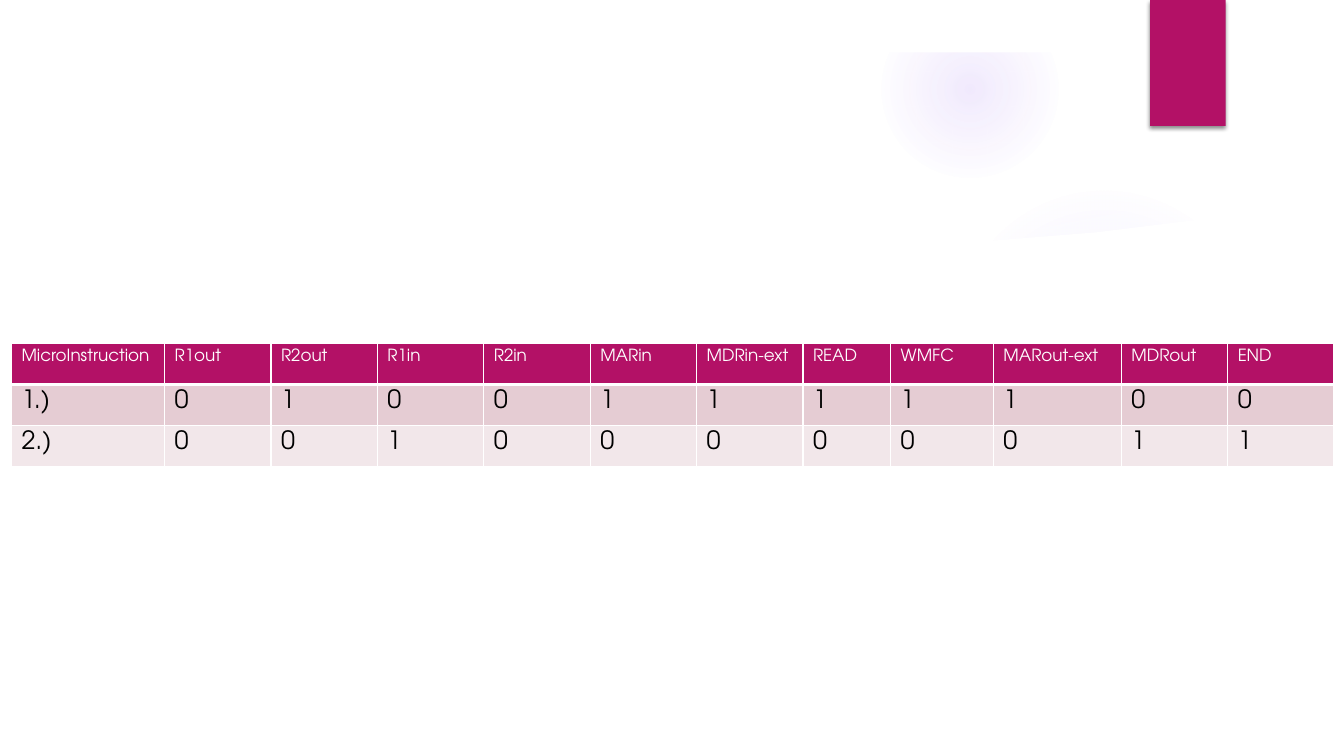
from lxml.etree import SubElement
from pptx import Presentation
from pptx.dml.color import RGBColor
from pptx.enum.shapes import MSO_SHAPE
from pptx.oxml import parse_xml
from pptx.oxml.ns import nsdecls, qn
from pptx.util import Pt

WHITE = RGBColor(0xFF, 0xFF, 0xFF)
BLACK = RGBColor(0x00, 0x00, 0x00)
MAGENTA = RGBColor(0xB3, 0x11, 0x66)
VIOLET = RGBColor(0x9B, 0x6B, 0xF2)
ROSE = RGBColor(0xE5, 0xCC, 0xD3)
PALE_ROSE = RGBColor(0xF2, 0xE7, 0xEA)
FONT = "TeX Gyre Adventor"

SLIDE_WIDTH, SLIDE_HEIGHT = 960, 540
COLUMN_WIDTHS = [109.4] + [76] * 6 + [62.6, 73.4, 91.4] + [76] * 2
ROW_HEIGHT = 29.2
TABLE_ROWS = [
    ["MicroInstruction", "R1out", "R2out", "R1in", "R2in", "MARin", "MDRin-ext",
     "READ", "WMFC", "MARout-ext", "MDRout", "END"],
    ["1.)", *"01001111100"],
    ["2.)", *"00100000011"],
]
ROW_STYLES = [(MAGENTA, WHITE, 12), (ROSE, BLACK, 18), (PALE_ROSE, BLACK, 18)]


def add_filled_shape(slide, kind, left, top, width, height, color):
    shape = slide.shapes.add_shape(kind, Pt(left), Pt(top), Pt(width), Pt(height))
    shape.shadow.inherit = False
    shape.fill.solid()
    shape.fill.fore_color.rgb = color
    shape.line.fill.background()
    return shape


def add_glow(slide, left, top, diameter, stops):
    glow = add_filled_shape(slide, MSO_SHAPE.OVAL, left, top, diameter, diameter, VIOLET)
    stop_xml = "".join(
        f'<a:gs pos="{position * 1000}"><a:srgbClr val="{VIOLET}">'
        f'<a:alpha val="{opacity * 1000}"/></a:srgbClr></a:gs>'
        for position, opacity in stops)
    gradient = parse_xml(
        f'<a:gradFill {nsdecls("a")} rotWithShape="1"><a:gsLst>{stop_xml}</a:gsLst>'
        '<a:path path="circle"><a:fillToRect l="50000" t="50000" r="50000" b="50000"/>'
        '</a:path></a:gradFill>')
    properties = glow._element.spPr
    properties.replace(properties.find(qn("a:solidFill")), gradient)


def add_white_outline(slide, left, top, points, opacity=100):
    moved = [(left + x, top + y) for x, y in points]
    builder = slide.shapes.build_freeform(*moved[0], scale=Pt(1))
    builder.add_line_segments(moved[1:], close=True)
    shape = builder.convert_to_shape()
    shape.shadow.inherit = False
    shape.fill.solid()
    shape.fill.fore_color.rgb = WHITE
    shape.line.fill.background()
    if opacity < 100:
        color = shape._element.spPr.find(qn("a:solidFill"))[0]
        SubElement(color, qn("a:alpha")).set("val", str(opacity * 1000))


def add_backdrop(slide, left, top, width, height):
    add_glow(slide, left + 677.5, top + 131.8, 221.8, [(0, 7), (36, 6), (69, 0)])
    add_glow(slide, left + 630, top + 0.7, 126, [(0, 14), (36, 7), (73, 0)])
    add_white_outline(slide, left + 669, top, [
        (3.5, 180), (60, 178.5), (150, 169), (259, 154), (254.8, 119.5),
        (213, 133), (163, 145), (105, 157), (51, 167), (0.5, 175)], 20)
    add_white_outline(slide, left + 36, top + 146.9, [
        (0, 0), (0, 357.1), (888, 357.1), (888, 0), (828, 9.4), (747.4, 18.7),
        (647.3, 26.6), (549.4, 30.2), (473.8, 31.7), (401.8, 31), (315.4, 28.1),
        (223.2, 23), (143.3, 16.6), (61.2, 7.9), (20.9, 2.9)])
    frame = add_filled_shape(slide, MSO_SHAPE.FRAME, left, top, width, height, WHITE)
    frame.adjustments[0] = 37.4 / height


def add_corner_tab(slide, left, top, width, height):
    tab = add_filled_shape(slide, MSO_SHAPE.RECTANGLE, left, top, width, height, MAGENTA)
    effects = tab._element.spPr.find(qn("a:effectLst"))
    effects.append(parse_xml(
        f'<a:outerShdw {nsdecls("a")} blurRad="{Pt(3)}" dist="{Pt(2)}" dir="5400000" '
        f'rotWithShape="0"><a:srgbClr val="{BLACK}"><a:alpha val="45000"/></a:srgbClr>'
        '</a:outerShdw>'))


def set_borders(cell, top_width, bottom_width):
    properties = cell._tc.get_or_add_tcPr()
    widths = {"lnL": 1, "lnR": 1, "lnT": top_width, "lnB": bottom_width}
    for index, (side, width) in enumerate(widths.items()):
        properties.insert(index, parse_xml(
            f'<a:{side} {nsdecls("a")} w="{Pt(width)}"><a:solidFill>'
            f'<a:srgbClr val="{WHITE}"/></a:solidFill></a:{side}>'))


def add_signal_table(slide, left, top):
    table = slide.shapes.add_table(
        len(TABLE_ROWS), len(COLUMN_WIDTHS), Pt(left), Pt(top),
        Pt(sum(COLUMN_WIDTHS)), Pt(ROW_HEIGHT * len(TABLE_ROWS))).table
    for column, width in zip(table.columns, COLUMN_WIDTHS):
        column.width = Pt(width)
    for row_index, (texts, style) in enumerate(zip(TABLE_ROWS, ROW_STYLES)):
        fill_color, text_color, size = style
        table.rows[row_index].height = Pt(ROW_HEIGHT)
        for cell, text in zip(table.rows[row_index].cells, texts):
            cell.fill.solid()
            cell.fill.fore_color.rgb = fill_color
            set_borders(cell, 3 if row_index == 1 else 1, 3 if row_index == 0 else 1)
            run = cell.text_frame.paragraphs[0].add_run()
            run.text = text
            run.font.name = FONT
            run.font.size = Pt(size)
            run.font.bold = False
            run.font.color.rgb = text_color


def main():
    presentation = Presentation()
    presentation.slide_width = Pt(SLIDE_WIDTH)
    presentation.slide_height = Pt(SLIDE_HEIGHT)
    slide = presentation.slides.add_slide(presentation.slide_layouts[6])
    add_backdrop(slide, 0, 0, SLIDE_WIDTH, SLIDE_HEIGHT)
    add_corner_tab(slide, 821.5, 0, 54, 90)
    add_signal_table(slide, 8.2, 245.5)
    presentation.save("out.pptx")


if __name__ == "__main__":
    main()
